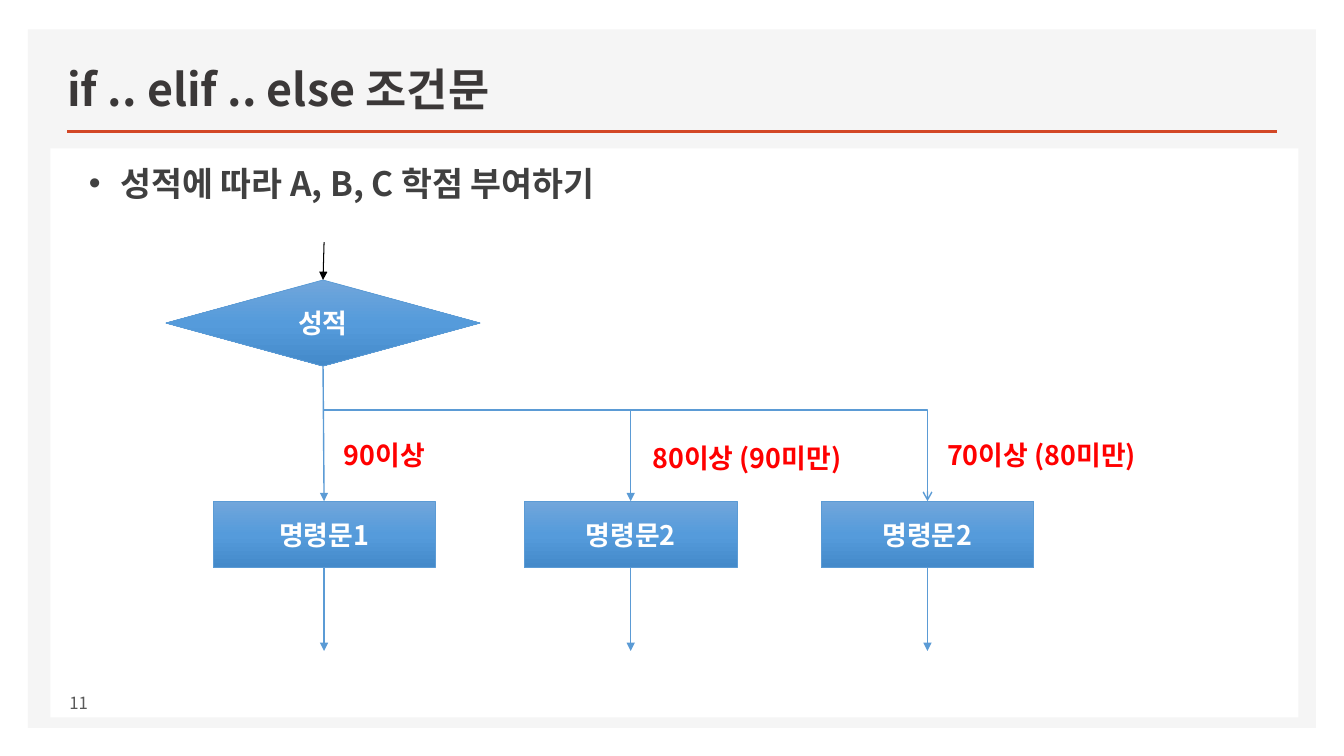
from copy import deepcopy
from dataclasses import dataclass

from lxml import etree
from pptx import Presentation
from pptx.dml.color import RGBColor
from pptx.enum import shapes, text
from pptx.oxml import ns
from pptx.util import Pt


@dataclass(frozen=True)
class Theme:
    face: str = "Noto Sans CJK KR"
    panel: str = "F5F5F5"
    page: str = "FFFFFF"
    rule: str = "D24726"
    title: str = "3B3838"
    body: str = "404040"
    number: str = "595959"
    edge: str = "5B9BD5"
    entry: str = "000000"
    label: str = "FF0000"
    blend: tuple = ("71A6DB", "559BDB", "448ACA")
    big: float = 32
    mid: float = 24
    node: float = 19.2
    small: float = 12


THEME = Theme()
KIND = shapes.MSO_SHAPE
LINK = shapes.MSO_CONNECTOR
MIDDLE = text.MSO_ANCHOR.MIDDLE


def rgb(code):
    return RGBColor.from_string(code)


def sub(parent, tag, **attrs):
    return etree.SubElement(parent, ns.qn(tag), attrs)


def write(shape, words, size, color, bold=True, anchor=text.MSO_ANCHOR.TOP, bullet=False):
    frame = shape.text_frame
    frame.word_wrap = True
    frame.vertical_anchor = anchor
    para = frame.paragraphs[0]
    para.text = words
    if bullet:
        props = para._p.get_or_add_pPr()
        props.set("marL", str(Pt(36.5)))
        props.set("indent", str(Pt(-22.5)))
        sub(props, "a:buFont", typeface="Arial")
        sub(props, "a:buChar", char="•")
    font = para.font
    font.size, font.bold, font.name = Pt(size), bold, THEME.face
    font.color.rgb = rgb(color)
    sub(font._element, "a:ea", typeface=THEME.face)
    return para


def area(slide, box, words, size, color, **style):
    shape = slide.shapes.add_textbox(*map(Pt, box))
    return write(shape, words, size, color, **style)


def panel(slide, box, color):
    shape = slide.shapes.add_shape(KIND.RECTANGLE, *map(Pt, box))
    shape.shadow.inherit = False
    shape.fill.solid()
    shape.fill.fore_color.rgb = rgb(color)
    shape.line.fill.background()


def node(slide, kind, box, words):
    shape = slide.shapes.add_shape(kind, *map(Pt, box))
    shape.shadow.inherit = False
    shape.fill.gradient()
    shape.fill.gradient_angle = 270
    stops = shape._element.spPr.find(ns.qn("a:gradFill")).gsLst
    stops.append(deepcopy(stops[0]))
    for i, (stop, color) in enumerate(zip(shape.fill.gradient_stops, THEME.blend)):
        stop.position = i / 2
        stop.color.rgb = rgb(color)
    shape.line.color.rgb = rgb(THEME.edge)
    shape.line.width = Pt(0.5)
    para = write(shape, words, THEME.node, THEME.page, anchor=MIDDLE)
    para.alignment = text.PP_ALIGN.CENTER
    shape.text_frame.word_wrap = False
    return shape


def wire(slide, start, end, color=THEME.edge, width=1, head="triangle", kind=LINK.STRAIGHT):
    line = slide.shapes.add_connector(kind, *map(Pt, (*start, *end)))
    line.line.color.rgb = rgb(color)
    line.line.width = Pt(width)
    if head:
        sub(line.line._get_or_add_ln(), "a:tailEnd", type=head)
    sub(line._element.spPr, "a:effectLst")
    return line


def elbow(slide, start, end):
    (x1, y1), (x2, y2) = start, end
    mid, cy = (x1 + x2) / 2, (y1 + y2) / 2
    dx, dy = (y2 - y1) / 2, (x2 - x1) / 2
    line = wire(slide, (mid + dx, cy - dy), (mid - dx, cy + dy), head="arrow", kind=LINK.ELBOW)
    props = line._element.spPr
    props.find(ns.qn("a:xfrm")).set("rot", str(270 * 60000))
    shape = props.find(ns.qn("a:prstGeom"))
    for old in list(shape):
        shape.remove(old)
    sub(sub(shape, "a:avLst"), "a:gd", name="adj1", fmla="val 0")


def header(slide, box, words):
    x, y, w, h = box
    area(slide, (x - 7, y, 662, 50.5), words, THEME.big, THEME.title,
         anchor=text.MSO_ANCHOR.BOTTOM)
    wire(slide, (x, y + h), (x + w, y + h), THEME.rule, 2, None)


def flow(slide, box, cases):
    x, y, w, h = box
    axis, bus, top, tall = x + 113, y + 120, y + 185, 47.5
    choice = node(slide, KIND.FLOWCHART_DECISION, (x, y + 27, 224.5, 61.5), "성적")
    entry = wire(slide, (axis, y), (axis, y + 27), THEME.entry, 0.75)
    entry.end_connect(choice, 0)
    for i, (shift, wide, words, label, gap, drop, room) in enumerate(cases):
        mid = axis + shift
        step = node(slide, KIND.RECTANGLE, (mid - wide / 2, top, wide, tall), words)
        if i < len(cases) - 1:
            link = wire(slide, (mid, bus), (mid, top))
            link.end_connect(step, 0)
            if i == 0:
                link.begin_connect(choice, 2)
        else:
            elbow(slide, (axis, bus), (mid, top))
        leave = wire(slide, (mid, top + tall), (mid, y + h))
        leave.begin_connect(step, 2)
        area(slide, (mid + gap, bus + drop, room, 30), label, THEME.node, THEME.label)


def main():
    deck = Presentation()
    deck.slide_width, deck.slide_height = Pt(960), Pt(540)
    slide = deck.slides.add_slide(deck.slide_layouts[6])
    panel(slide, (20, 21, 920, 499), THEME.panel)
    panel(slide, (36, 106, 891.5, 406.5), THEME.page)
    header(slide, (48, 35.5, 864.5, 58.5), "if .. elif .. else 조건문")
    area(slide, (42.5, 113, 661.5, 313), "성적에 따라 A, B, C 학점 부여하기",
         THEME.mid, THEME.body, bullet=True)
    flow(slide, (118.5, 173, 620, 292), (
        (0, 158.5, "명령문1", "90이상", 7, 16.5, 75.5),
        (219, 152, "명령문2", "80이상 (90미만)", 8.5, 19, 157.5),
        (431, 152, "명령문2", "70이상 (80미만)", 7, 17, 157.5),
    ))
    area(slide, (42.5, 487.5, 258, 29), "11", THEME.small, THEME.number,
         bold=False, anchor=MIDDLE)
    deck.save("out.pptx")


if __name__ == "__main__":
    main()
